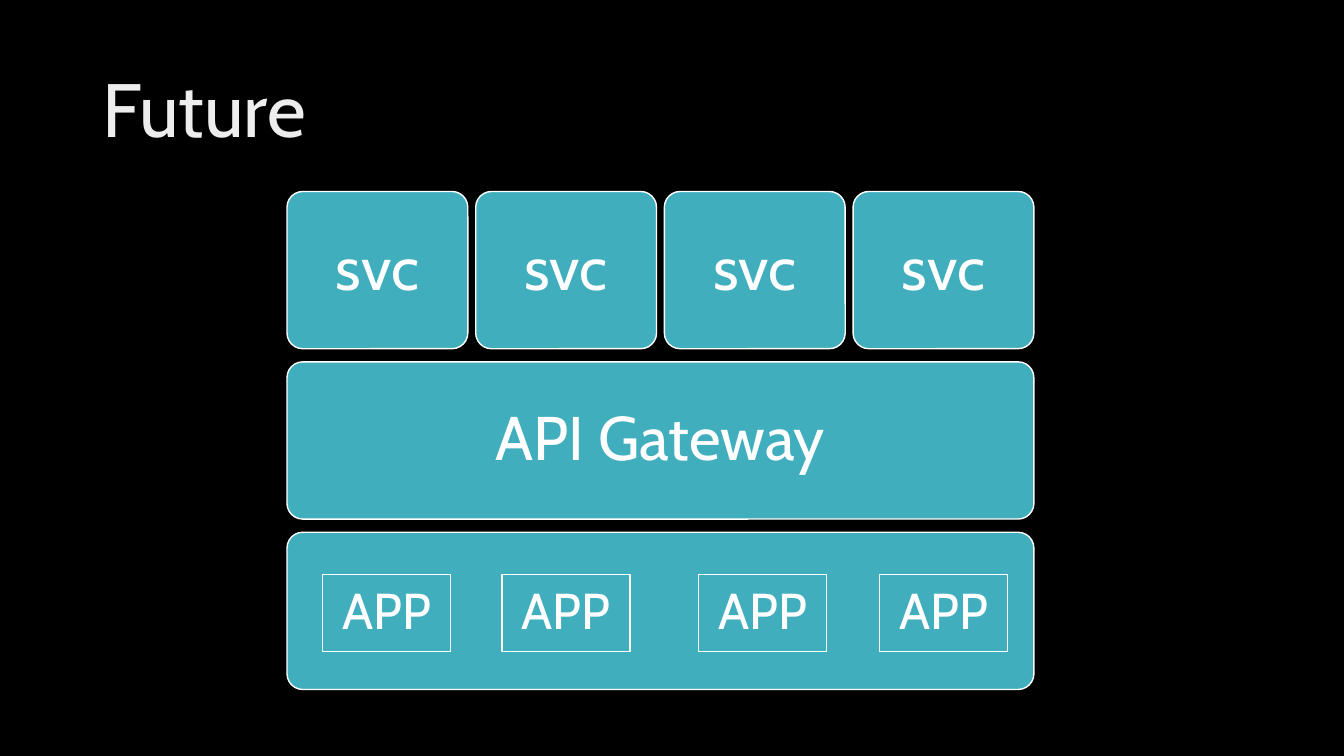
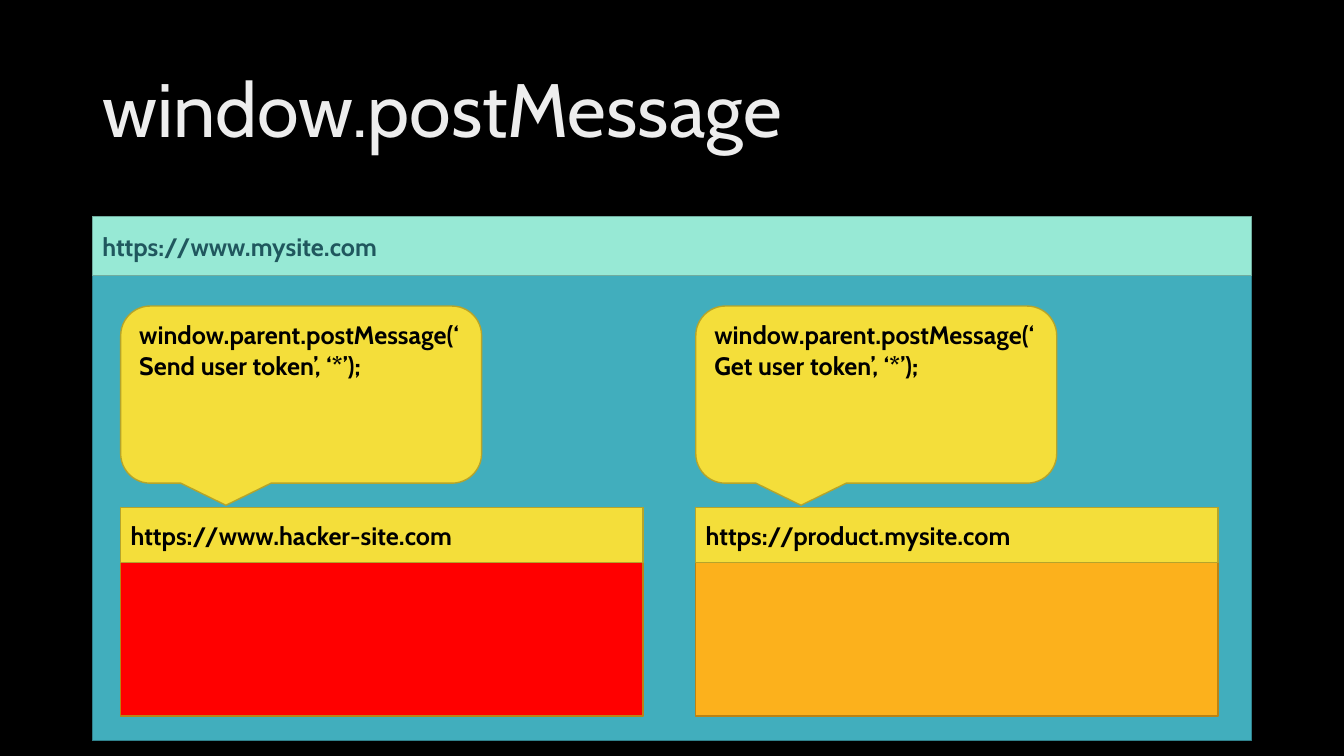
"""Build two dark slides on an API gateway and on window.postMessage."""
from dataclasses import dataclass

from pptx import Presentation
from pptx.dml.color import RGBColor as Rgb
from pptx.enum.shapes import MSO_SHAPE as Kind
from pptx.enum.text import MSO_ANCHOR as Anchor, PP_ALIGN as Align
from pptx.util import Pt

FONT = "Cabin"
HUES = {
    "black": "000000", "white": "FFFFFF", "title": "EDEDED",
    "teal": "41AEBD", "teal edge": "30818C", "teal text": "20575E",
    "mint": "97E9D5", "mint edge": "70AC9E",
    "yellow": "F4DE3A", "yellow edge": "B5A42B",
    "red": "FF0000", "orange": "FCB11C", "brown": "BA8315",
}


@dataclass(frozen=True)
class Box:
    left: float
    top: float
    width: float
    height: float


@dataclass(frozen=True)
class Look:
    fill: str
    edge: str
    ink: str = "black"
    size: float = 18
    bold: bool = True
    align: Align = Align.LEFT
    anchor: Anchor = Anchor.MIDDLE
    space: float = 1.0


@dataclass(frozen=True)
class Pane:
    left: float
    site: str
    call: str
    fill: str


BLOCK = Look("teal", "white", "white", 44, False, Align.CENTER, space=0.9)
APP = Look("teal", "white", "white", 36, False, Align.CENTER, space=0.9)
BAR = Look("yellow", "yellow edge")
CALL = Look("yellow", "yellow edge", anchor=Anchor.TOP)
HEAD = Look("mint", "mint edge", "teal text")


def hue(name: str) -> Rgb:
    return Rgb.from_string(HUES[name])


def add_page(deck, title: str):
    page = deck.slides.add_slide(deck.slide_layouts[5])
    head = page.shapes.title
    head.left, head.top, head.width, head.height = Pt(66), Pt(28.8), Pt(828), Pt(104.4)
    frame = head.text_frame
    frame.text = title
    frame.vertical_anchor = Anchor.MIDDLE
    line = frame.paragraphs[0]
    line.alignment = Align.LEFT
    line.line_spacing = 0.9
    line.font.name, line.font.size = FONT, Pt(54)
    line.font.color.rgb = hue("title")
    return page


def draw(page, box: Box, look: Look, text: str = "", kind: Kind = Kind.RECTANGLE):
    shape = page.shapes.add_shape(
        kind, Pt(box.left), Pt(box.top), Pt(box.width), Pt(box.height))
    shape.shadow.inherit = False
    shape.fill.solid()
    shape.fill.fore_color.rgb = hue(look.fill)
    shape.line.color.rgb = hue(look.edge)
    shape.line.width = Pt(1)
    if text:
        frame = shape.text_frame
        frame.word_wrap = True
        frame.vertical_anchor = look.anchor
        frame.text = text
        line = frame.paragraphs[0]
        line.alignment = look.align
        line.line_spacing = look.space
        line.font.name, line.font.size = FONT, Pt(look.size)
        line.font.bold = look.bold
        line.font.color.rgb = hue(look.ink)
    return shape


def add_stack(deck) -> None:
    page = add_page(deck, "Future")
    left, top, width, height = 205, 136.8, 533.5, 112.3
    step, gap, count = 121.7, 5.6, 4
    cell = (width - gap * (count - 1)) / count
    tiles = [(Box(left, top + 2 * step, width, height), ""),
             (Box(left, top + step, width, height), "API Gateway")]
    tiles += [(Box(left + i * (cell + gap), top, cell, height), "svc")
              for i in range(count)]
    for box, text in tiles:
        tile = draw(page, box, BLOCK, text, Kind.ROUNDED_RECTANGLE)
        tile.adjustments[0] = 0.1
    for x in (230.4, 358.5, 499, 628.2):
        draw(page, Box(x, 410.4, 91.5, 54.9), APP, "APP")


def add_sites(deck) -> None:
    page = add_page(deck, "window.postMessage")
    draw(page, Box(66, 154.8, 828, 374.4), Look("teal", "teal edge"))
    draw(page, Box(66, 154.8, 828, 42.2), HEAD, "https://www.mysite.com")
    panes = (
        Pane(86.2, "https://www.hacker-site.com",
             "window.parent.postMessage(‘Send user token’, ‘*’);", "red"),
        Pane(497, "https://product.mysite.com",
             "window.parent.postMessage(‘Get user token’, ‘*’);", "orange"),
    )
    for pane in panes:
        draw(page, Box(pane.left, 362.4, 373, 149), Look(pane.fill, "brown"))
        draw(page, Box(pane.left, 362.4, 373, 39.6), BAR, pane.site)
        draw(page, Box(pane.left, 218.6, 257.8, 126.5), CALL, pane.call,
             Kind.ROUNDED_RECTANGULAR_CALLOUT)


def main() -> None:
    deck = Presentation()
    deck.slide_width, deck.slide_height = Pt(960), Pt(540)
    back = deck.slide_master.background.fill
    back.solid()
    back.fore_color.rgb = hue("black")
    add_stack(deck)
    add_sites(deck)
    deck.save("out.pptx")


if __name__ == "__main__":
    main()
